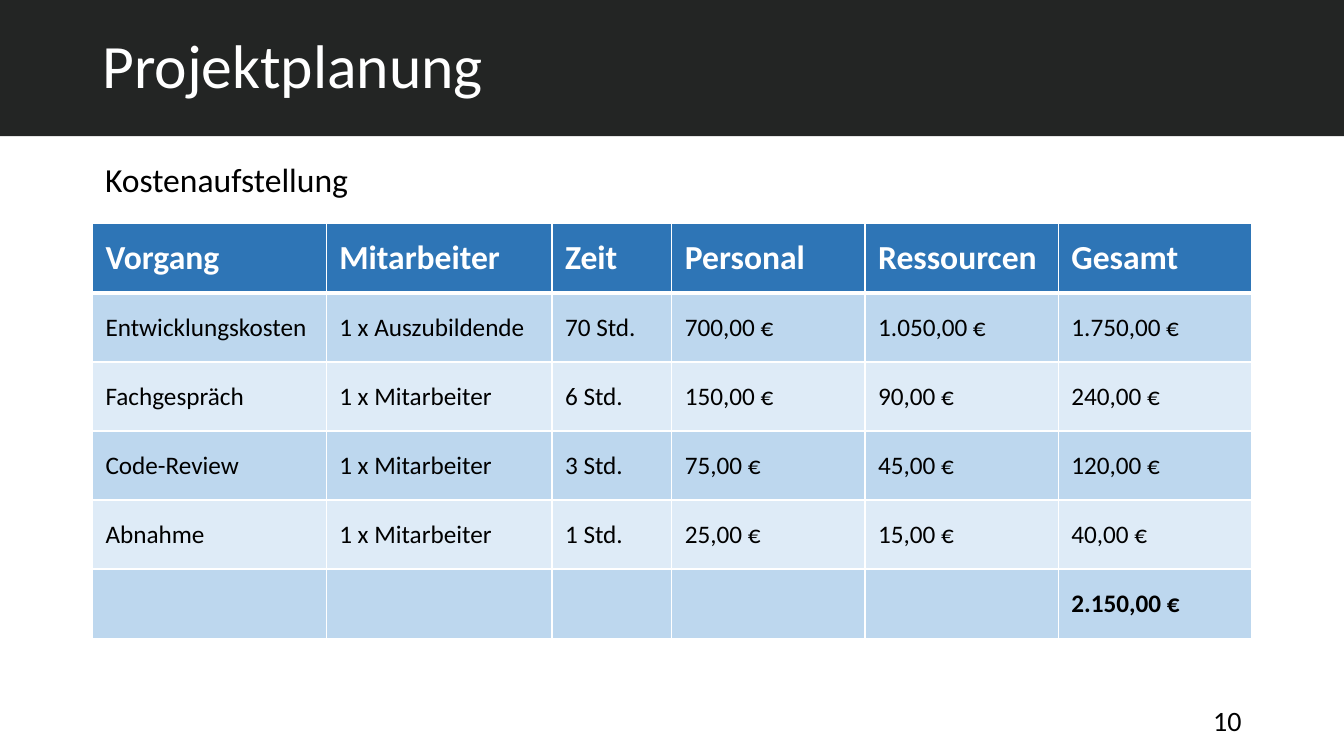
import pptx
import pptx.dml.color
import pptx.enum.shapes
import pptx.enum.text
import pptx.oxml.ns
import pptx.util
import lxml.etree

Cm = pptx.util.Cm
ALIGN = pptx.enum.text.PP_ALIGN
MIDDLE = pptx.enum.text.MSO_ANCHOR.MIDDLE
LEFT, WIDTH = 2.33, 29.21
SLIDE_WIDTH, SLIDE_HEIGHT = 33.87, 19.05

COLUMN_WIDTHS = [5.89, 5.69, 3.02, 4.87, 4.87, 4.87]
ROW_HEIGHT = 1.74
COSTS = [
    ["Vorgang", "Mitarbeiter", "Zeit", "Personal", "Ressourcen", "Gesamt"],
    ["Entwicklungskosten", "1 x Auszubildende", "70 Std.", "700,00 €", "1.050,00 €", "1.750,00 €"],
    ["Fachgespräch", "1 x Mitarbeiter", "6 Std.", "150,00 €", "90,00 €", "240,00 €"],
    ["Code-Review", "1 x Mitarbeiter", "3 Std.", "75,00 €", "45,00 €", "120,00 €"],
    ["Abnahme", "1 x Mitarbeiter", "1 Std.", "25,00 €", "15,00 €", "40,00 €"],
    ["", "", "", "", "", "2.150,00 €"],
]


def color(value):
    return pptx.dml.color.RGBColor.from_string(value)


def apply(target, values):
    for name, value in values.items():
        setattr(target, name, value)


class SlideBuilder:
    font_name = "Calibri"
    white, black, dark = "FFFFFF", "000000", "232524"
    header_fill = "2E75B6"
    band_fills = ["DEEBF7", "BDD7EE"]

    def __init__(self, presentation):
        self.slide = presentation.slides.add_slide(presentation.slide_layouts[5])

    def fill_text(self, frame, text, size, text_color, bold=False, align=ALIGN.LEFT):
        paragraph = frame.paragraphs[0]
        paragraph.text = text
        paragraph.alignment = align
        font = paragraph.runs[0].font if text else paragraph.font
        apply(font, {"name": self.font_name, "size": pptx.util.Pt(size), "bold": bold})
        font.color.rgb = color(text_color)
        return paragraph

    def band(self, height):
        shape = self.slide.shapes.add_shape(
            pptx.enum.shapes.MSO_SHAPE.RECTANGLE, 0, 0, Cm(SLIDE_WIDTH), Cm(height))
        shape.shadow.inherit = False
        shape.fill.solid()
        shape.fill.fore_color.rgb = color(self.dark)
        shape.line.fill.background()
        self.slide.shapes._spTree.insert(2, shape._element)

    def title(self, text, top, height):
        title = self.slide.shapes.title
        apply(title, {"left": Cm(LEFT), "top": Cm(top), "width": Cm(WIDTH), "height": Cm(height)})
        apply(title.text_frame, {"vertical_anchor": MIDDLE, "word_wrap": True})
        paragraph = self.fill_text(title.text_frame, text, 44, self.white)
        paragraph.line_spacing = 0.9

    def text(self, text, left, top, width, height, size, align, anchor=None, wrap=True):
        box = self.slide.shapes.add_textbox(Cm(left), Cm(top), Cm(width), Cm(height))
        apply(box.text_frame, {"word_wrap": wrap, "vertical_anchor": anchor})
        self.fill_text(box.text_frame, text, size, self.black, align=align)

    def borders(self, cell, widths):
        properties = cell._tc.get_or_add_tcPr()
        for position, (side, width) in enumerate(widths.items()):
            line = lxml.etree.Element(
                pptx.oxml.ns.qn(f"a:ln{side}"), w=str(pptx.util.Pt(width)))
            fill = lxml.etree.SubElement(line, pptx.oxml.ns.qn("a:solidFill"))
            lxml.etree.SubElement(fill, pptx.oxml.ns.qn("a:srgbClr"), val=self.white)
            properties.insert(position, line)

    def table(self, rows, top):
        table = self.slide.shapes.add_table(
            len(rows), len(COLUMN_WIDTHS), Cm(LEFT), Cm(top),
            Cm(WIDTH), Cm(ROW_HEIGHT * len(rows))).table
        apply(table, {"first_row": True, "horz_banding": False})
        for column, width in zip(table.columns, COLUMN_WIDTHS):
            column.width = Cm(width)
        margins = {"margin_left": Cm(0.33), "margin_right": Cm(0.33),
                   "margin_top": Cm(0.17), "margin_bottom": Cm(0.17)}
        for row_index, row in enumerate(rows):
            table.rows[row_index].height = Cm(ROW_HEIGHT)
            header = row_index == 0
            total = row_index == len(rows) - 1
            for column_index, text in enumerate(row):
                cell = table.cell(row_index, column_index)
                apply(cell, {"vertical_anchor": MIDDLE, **margins})
                cell.fill.solid()
                cell.fill.fore_color.rgb = color(
                    self.header_fill if header else self.band_fills[row_index % 2])
                self.fill_text(cell.text_frame, text, 24 if header else 18,
                               self.white if header else self.black, bold=header or total)
                self.borders(cell, {"L": 1, "R": 1, "T": 3 if row_index == 1 else 1,
                                    "B": 3 if header else 1})


def main():
    presentation = pptx.Presentation()
    apply(presentation, {"slide_width": Cm(SLIDE_WIDTH), "slide_height": Cm(SLIDE_HEIGHT)})
    builder = SlideBuilder(presentation)
    builder.band(3.43)
    builder.title("Projektplanung", 0.51, 2.41)
    builder.text("10", 23.93, 17.65, 7.61, 1.02, 20, ALIGN.RIGHT, MIDDLE)
    builder.table(COSTS, 5.64)
    builder.text("Kostenaufstellung", LEFT, 3.89, 6.76, 1.27, 24, ALIGN.CENTER, wrap=False)
    presentation.save("out.pptx")


if __name__ == "__main__":
    main()
